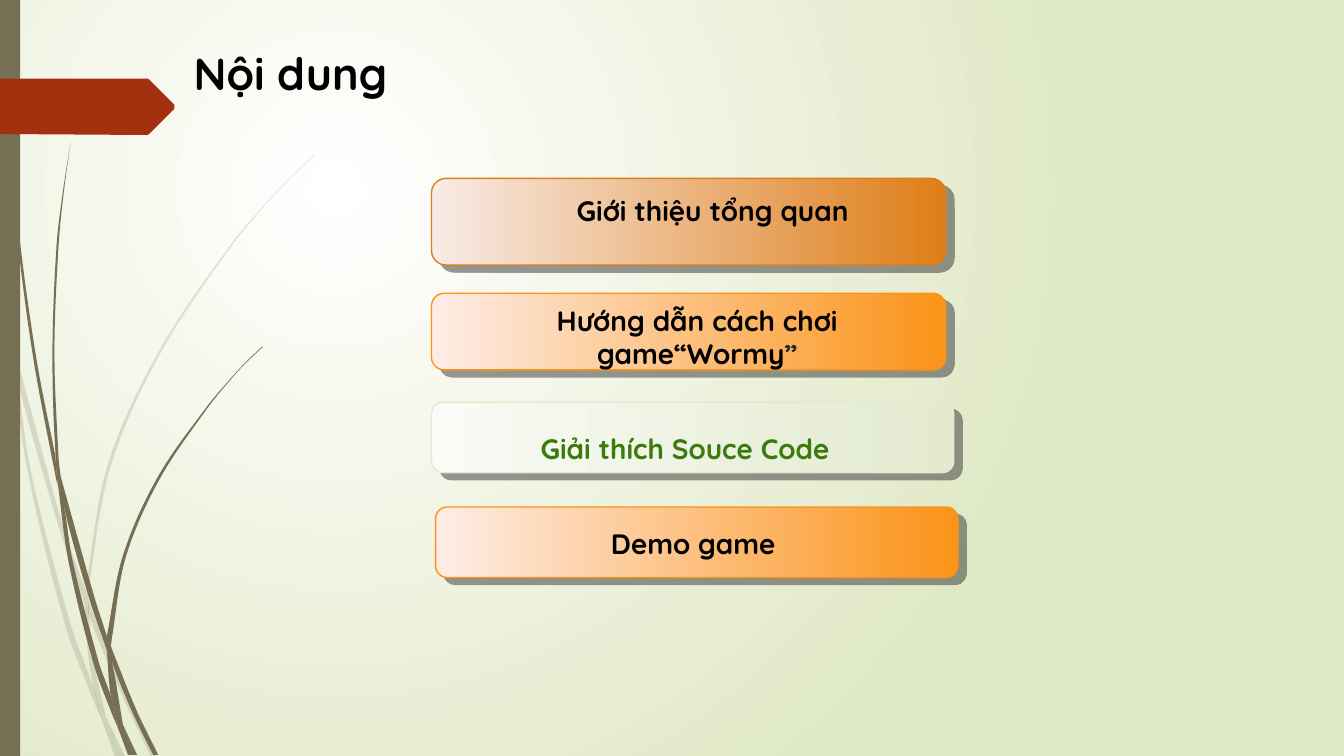
import math
from lxml import etree
from pptx import Presentation, util as u
from pptx.dml.color import RGBColor
from pptx.enum import shapes, text
from pptx.oxml.ns import qn

COLS, ROWS = 13.33, 7.5
CELL = u.Inches(1)
FONT = "Quicksand"
BLACK = RGBColor(0, 0, 0)
CHARCOAL = RGBColor(0x26, 0x26, 0x26)
WHITE = RGBColor(0xFF, 0xFF, 0xFF)
SAGE = RGBColor(0xDF, 0xE8, 0xC4)
OLIVE = RGBColor(0x76, 0x6F, 0x54)
RUST = RGBColor(0xA5, 0x30, 0x10)
GREEN = RGBColor(0x39, 0x7B, 0x0D)
SHADOW = RGBColor(0x33, 0x33, 0x33)
COPPER = (RGBColor(0xF8, 0xEB, 0xE6), RGBColor(0xDE, 0x7E, 0x18))
ORANGE = (RGBColor(0xFE, 0xED, 0xE6), RGBColor(0xFB, 0x93, 0x18))
MINT = (RGBColor(0xF9, 0xFB, 0xF6), RGBColor(0xE3, 0xEA, 0xCF))

PALE_BLADES = [
    ([(0, 2.99), (.1, 3.44), (.11, 3.5)], [(0, 2.82), (.09, 3.22), (.11, 3.5)]),
    ([(.14, 3.45), (.17, 3.76), (.58, 5.22), (.84, 5.99)],
     [(.14, 3.45), (.62, 5.2), (.85, 5.86)]),
    ([(.88, 5.96), (.88, 6.1), (1.23, 6.94), (1.5, 7.51)],
     [(.88, 5.96), (.92, 6.07), (1.27, 6.92), (1.55, 7.51)]),
    ([(1.05, 7.11), (1.19, 7.51)], [(1.05, 7.11), (1.24, 7.51)]),
    ([(.11, 3.5), (.28, 4.7), (.65, 6.21), (.92, 6.93), (1.01, 7.14)],
     [(.11, 3.5), (.17, 3.76), (.31, 4.69), (.7, 6.19), (.93, 6.83),
      (1.01, 7.14)]),
    ([(.84, 5.99), (.87, 6.46), (.93, 6.83), (.96, 6.92), (1.05, 7.11)],
     [(.84, 5.99), (.88, 6.08), (.91, 6.46), (1.05, 7.11)]),
    ([(3.12, 1.53), (2.89, 1.75), (2.68, 1.97), (2.28, 2.44), (1.58, 3.48),
      (1.07, 4.61), (.85, 5.84)],
     [(3.12, 1.54), (2.9, 1.75), (2.68, 1.98), (2.29, 2.45), (1.6, 3.49),
      (1.1, 4.62), (.88, 5.84), (.88, 5.96)]),
    ([(1.01, 7.14), (1.14, 7.51)], [(1.01, 7.14), (1.19, 7.51)]),
    ([(.85, 5.86), (.84, 5.99), (.88, 6.08)], [(.85, 5.86), (.88, 5.96),
                                            (.88, 6.1)]),
    ([(.93, 6.83), (.99, 7.07), (1.01, 7.14), (1.19, 7.51)],
     [(.93, 6.83), (.96, 6.92), (1.05, 7.11), (1.19, 7.51)]),
]
DARK_BLADES = [
    ([(.03, 0), (.04, .48), (.07, 1.1), (.17, 2.33), (.33, 3.55), (.56, 4.77),
      (.57, 4.81)],
     [(.04, 0), (.05, .48), (.08, 1.09), (.19, 2.32), (.36, 3.55),
      (.55, 4.53)]),
    ([(.6, 4.72), (.64, 5.05), (.88, 5.92), (1.06, 6.45)],
     [(.6, 4.72), (.93, 5.9), (1.06, 6.31)]),
    ([(1.1, 6.41), (1.11, 6.56), (1.32, 7.08), (1.52, 7.49)],
     [(1.1, 6.41), (1.13, 6.49), (1.36, 7.06), (1.57, 7.49)]),
    ([(.57, 4.77), (.68, 5.57), (.93, 6.59), (1.11, 7.08), (1.17, 7.22)],
     [(.57, 4.77), (.64, 5.05), (.72, 5.56), (.98, 6.57), (1.1, 6.91),
      (1.17, 7.22)]),
    ([(.7, 1.41), (.62, 1.93), (.56, 2.45), (.52, 3.49), (.55, 4.49),
      (.6, 4.72)],
     [(.7, 1.41), (.63, 1.93), (.58, 2.45), (.54, 3.49), (.58, 4.53),
      (.6, 4.72)]),
    ([(1.22, 7.19), (1.33, 7.49)], [(1.22, 7.19), (1.36, 7.49)]),
    ([(.55, 4.49), (.57, 4.77), (.64, 5.05)], [(.55, 4.49), (.6, 4.72),
                                            (.64, 5.05)]),
    ([(2.6, 3.44), (2.45, 3.58), (2.31, 3.73), (2.04, 4.05), (1.56, 4.74),
      (1.22, 5.51), (1.06, 6.31)],
     [(2.61, 3.44), (2.45, 3.59), (2.31, 3.74), (2.05, 4.06), (1.58, 4.76),
      (1.25, 5.52), (1.11, 6.33), (1.1, 6.41)]),
    ([(1.17, 7.22), (1.27, 7.49)], [(1.17, 7.22), (1.31, 7.49)]),
    ([(1.06, 6.45), (1.1, 6.91), (1.16, 7.06), (1.22, 7.19)],
     [(1.06, 6.45), (1.11, 6.56), (1.22, 7.19)]),
    ([(1.06, 6.31), (1.06, 6.45), (1.11, 6.56)], [(1.06, 6.31), (1.1, 6.41),
                                               (1.11, 6.56)]),
    ([(1.1, 6.91), (1.16, 7.17), (1.17, 7.22), (1.3, 7.49)],
     [(1.1, 6.91), (1.16, 7.06), (1.22, 7.19), (1.33, 7.49)]),
]
TAG = [(0, .78), (1.46, .78), (1.48, .79), (1.73, 1.04), (1.73, 1.08),
       (1.48, 1.33), (1.46, 1.34), (0, 1.33)]
TOPICS = [
    ((4.28, 1.77, 5.1, .86), COPPER, (5.25, 1.87, 3.64, .44),
     [("Giới thiệu tổng quan", BLACK)]),
    ((4.28, 2.91, 5.1, .76), ORANGE, (5.04, 2.96, 3.75, .77),
     [("Hướng dẫn cách chơi game“Wormy", BLACK), ("”", CHARCOAL)]),
    ((4.28, 3.99, 5.18, .7), MINT, (4.92, 4.23, 3.75, .44),
     [("Giải thích Souce Code", GREEN)]),
    ((4.32, 5.03, 5.18, .7), ORANGE, (5, 5.17, 3.75, .44),
     [("Demo game", BLACK)]),
]


def grid(*cells):
    return [round(c * CELL) for c in cells]


def apply(obj, **values):
    for name, value in values.items():
        setattr(obj, name, value)


def sub(parent, tag, **attrs):
    return etree.SubElement(parent, qn(tag),
                            {k: str(v) for k, v in attrs.items()})


def controls(points):
    def slope(i):
        a, b = points[max(i - 1, 0)], points[min(i + 1, len(points) - 1)]
        span = math.dist(a, points[i]) + math.dist(points[i], b)
        return [(q - p) / span for p, q in zip(a, b)]

    for i, (a, b) in enumerate(zip(points, points[1:])):
        third = math.dist(a, b) / 3
        yield ([p + v * third for p, v in zip(a, slope(i))],
               [p - v * third for p, v in zip(b, slope(i + 1))])


def paint(sp, color, alpha=None):
    sp.shadow.inherit = False
    sp.fill.solid()
    sp.fill.fore_color.rgb = color
    sp.line.fill.background()
    if alpha:
        clr = sp._element.spPr.find(qn("a:solidFill"))[0]
        sub(clr, "a:alpha", val=alpha * 1000)


def add_outline(s, points):
    start, *rest = [grid(*p) for p in points]
    builder = s.shapes.build_freeform(*start)
    builder.add_line_segments(rest, close=True)
    return builder.convert_to_shape()


def add_blade(s, left, right, alpha=None):
    back = right[::-1]
    sp = add_outline(s, left + back)
    lines = sp._element.findall(".//" + qn("a:lnTo"))
    bends = [*controls(left), None, *controls(back)]
    for line, bend in zip(lines, bends):
        if bend:
            line.tag = qn("a:cubicBezTo")
            for i, handle in enumerate(bend):
                x, y = grid(*handle)
                line.insert(i, etree.Element(
                    qn("a:pt"), x=str(x - sp.left), y=str(y - sp.top)))
    paint(sp, OLIVE, alpha)


def set_stops(fill, colors):
    fill.gradient()
    for stop, color in zip(fill.gradient_stops, colors):
        stop.color.rgb = color


def set_background(s):
    set_stops(s.background.fill, (WHITE, SAGE))
    grad = s.element.find(".//" + qn("a:gradFill"))
    grad.remove(grad.find(qn("a:lin")))
    circle = sub(grad, "a:path", path="circle")
    sub(circle, "a:fillToRect", l=50000, t=50000, r=100000, b=100000)


def add_bar(s, box, colors):
    sp = s.shapes.add_shape(shapes.MSO_SHAPE.ROUNDED_RECTANGLE, *grid(*box))
    sp.shadow.inherit = False
    set_stops(sp.fill, colors)
    sp.fill.gradient_angle = 0
    sp.line.color.rgb = colors[1]
    sp.line.width = u.Pt(1)
    effects = sp._element.spPr.find(qn("a:effectLst"))
    shadow = sub(effects, "a:outerShdw", blurRad=0, dist=u.Pt(7.8),
                 dir=40 * 60000, algn="ctr", rotWithShape=0)
    sub(sub(shadow, "a:srgbClr", val=SHADOW), "a:alpha", val=50000)


def write(sp, runs, size, align):
    tf = sp.text_frame
    apply(tf, word_wrap=True, auto_size=text.MSO_AUTO_SIZE.NONE,
          vertical_anchor=text.MSO_ANCHOR.TOP)
    p = tf.paragraphs[0]
    p.alignment = align
    for words, color in runs:
        r = p.add_run()
        r.text = words
        apply(r.font, name=FONT, size=u.Pt(size), bold=True)
        r.font.color.rgb = color


def set_title(s, box, words):
    sp = s.shapes.title
    apply(sp, **dict(zip(("left", "top", "width", "height"), grid(*box))))
    write(sp, [(words, BLACK)], 32, text.PP_ALIGN.LEFT)


def main():
    prs = Presentation()
    prs.slide_width, prs.slide_height = grid(COLS, ROWS)
    s = prs.slides.add_slide(prs.slide_layouts[5])
    set_background(s)
    for blades, alpha in ((PALE_BLADES, 20), (DARK_BLADES, None)):
        for left, right in blades:
            add_blade(s, left, right, alpha)
    edge = s.shapes.add_shape(shapes.MSO_SHAPE.RECTANGLE,
                              *grid(0, 0, .2, ROWS))
    paint(edge, OLIVE)
    paint(add_outline(s, TAG), RUST)
    set_title(s, (1.82, .4, 4.97, .75), "Nội dung")
    for bar, colors, label, runs in TOPICS:
        add_bar(s, bar, colors)
        write(s.shapes.add_textbox(*grid(*label)), runs, 20,
              text.PP_ALIGN.CENTER)
    prs.save("out.pptx")


main()
